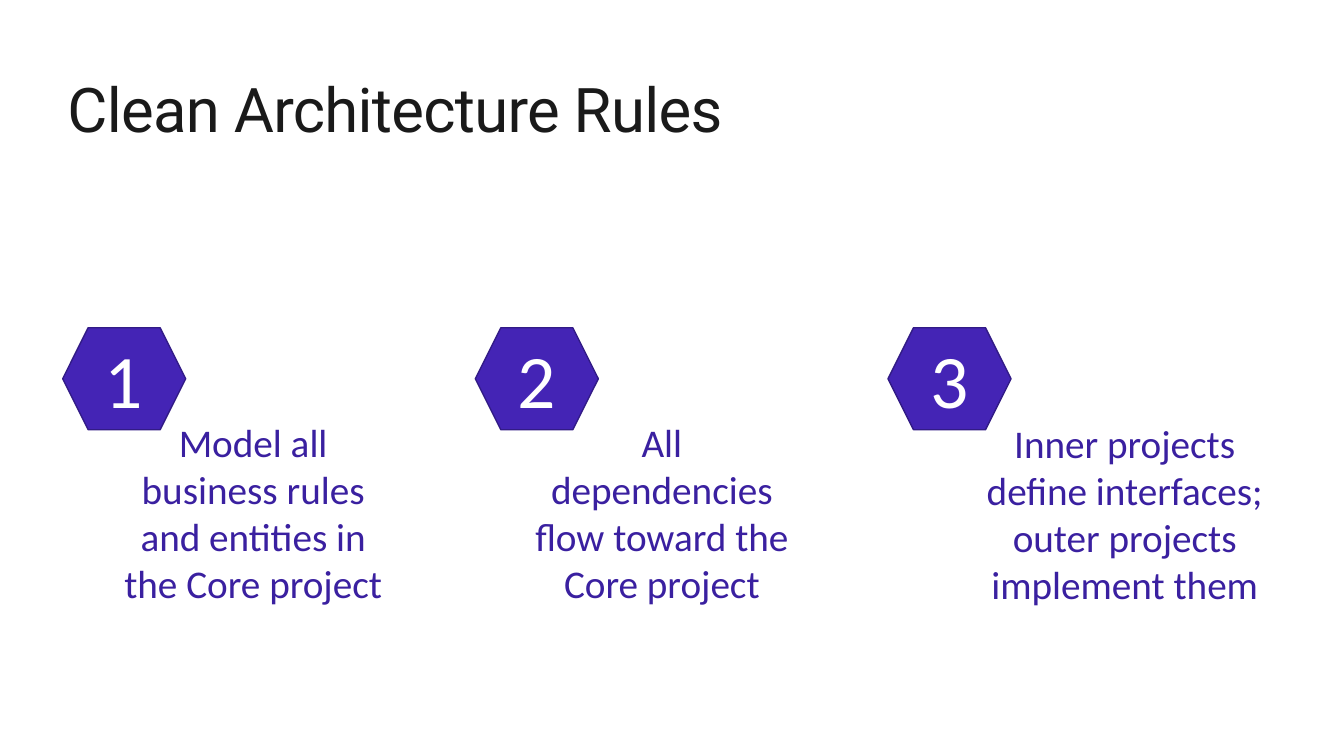
import pptx
import pptx.dml.color
import pptx.enum.shapes
import pptx.enum.text
import pptx.util

Cm = pptx.util.Cm
Pt = pptx.util.Pt

COLOURS = {
    "title": "1A1A1A",
    "rule": "3A20A0",
    "hexagon": "4424B5",
    "outline": "321B86",
    "number": "FFFFFF",
}

RULES = [
    ("Model all business rules and entities in the Core project", 1.22, 2.15, 7.16),
    ("All dependencies flow toward the Core project", 1.12, 2.15, 7.16),
    ("Inner projects define interfaces; outer projects implement them", 1.62, 2.18, 8.69),
]
RULE_PITCH = 10.4


def colour(name):
    return pptx.dml.color.RGBColor.from_string(COLOURS[name])


def add_text(shapes, text, left, top, width, height, size, colour_name, font="Calibri"):
    box = shapes.add_textbox(Cm(left), Cm(top), Cm(width), Cm(height))
    frame = box.text_frame
    frame.word_wrap = True
    frame.text = text
    para = frame.paragraphs[0]
    para.alignment = pptx.enum.text.PP_ALIGN.CENTER
    span = para.runs[0]
    span.font.name = font
    span.font.size = Pt(size)
    span.font.color.rgb = colour(colour_name)
    return box


def add_title(page, left, top, width, height):
    box = add_text(page.shapes, "Clean Architecture Rules", left, top, width, height,
                   44, "title", "Roboto")
    frame = box.text_frame
    frame.margin_left = frame.margin_right = frame.margin_top = frame.margin_bottom = 0
    frame.vertical_anchor = pptx.enum.text.MSO_ANCHOR.MIDDLE
    para = frame.paragraphs[0]
    para.alignment = pptx.enum.text.PP_ALIGN.LEFT
    para.line_spacing = 0.9
    para.runs[0].font._element.set("spc", "-50")


def add_badge(page, number, left, top, width, height):
    badge = page.shapes.add_group_shape()
    hexagon = badge.shapes.add_shape(pptx.enum.shapes.MSO_SHAPE.HEXAGON,
                                     Cm(left), Cm(top), Cm(width), Cm(height))
    hexagon.shadow.inherit = False
    hexagon.fill.solid()
    hexagon.fill.fore_color.rgb = colour("hexagon")
    hexagon.line.color.rgb = colour("outline")
    hexagon.line.width = Pt(1)
    overhang = 0.39
    add_text(badge.shapes, str(number), left - overhang, top,
             width + 2 * overhang, height, 54, "number")


def add_rule(page, number, rule, left, top):
    text, indent, drop, width = rule
    add_badge(page, number, left, top, 3.1, 2.57)
    add_text(page.shapes, text, left + indent, top + drop, width, 5.05, 28, "rule")


def main():
    deck = pptx.Presentation()
    deck.slide_width = Cm(33.87)
    deck.slide_height = Cm(19.05)
    page = deck.slides.add_slide(deck.slide_layouts[6])
    add_title(page, 1.7, 1.7, 30.48, 2.29)
    for index, rule in enumerate(RULES):
        add_rule(page, index + 1, rule, 1.58 + index * RULE_PITCH, 8.26)
    deck.save("out.pptx")


if __name__ == "__main__":
    main()
